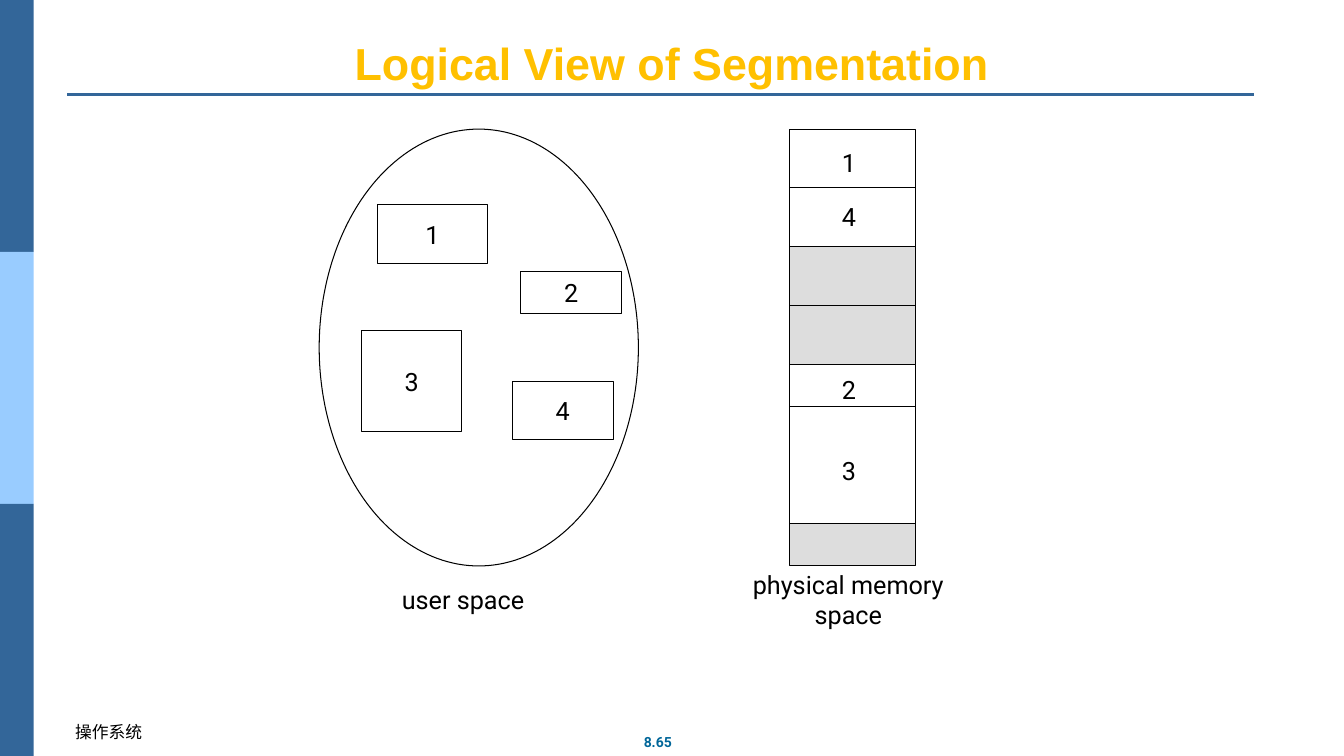
from lxml import etree
from pptx import Presentation
from pptx.dml.color import RGBColor
from pptx.enum.shapes import MSO_CONNECTOR as CONNECTOR, MSO_SHAPE as SHAPE
from pptx.enum.text import MSO_ANCHOR as ANCHOR, MSO_AUTO_SIZE as AUTO, PP_ALIGN as ALIGN
from pptx.oxml.ns import qn
from pptx.util import Emu, Pt

PX = 9525  # EMU per px, 96 px to the inch
COLORS = {
    "dark": "336699", "light": "99CCFF", "number": "006699", "title": "FFC000",
    "black": "000000", "white": "FFFFFF", "free": "DDDDDD",
}


def px(*lengths):
    return [Emu(length * PX) for length in lengths]


def write(shape, lines, size=18, font="Roboto", color="black", bold=False,
          align=ALIGN.CENTER, anchor=ANCHOR.MIDDLE, wrap=False):
    frame = shape.text_frame
    frame.auto_size = AUTO.NONE
    frame.word_wrap = wrap
    frame.vertical_anchor = anchor
    paragraph = frame.paragraphs[0]
    paragraph.alignment = align
    for index, line in enumerate(lines):
        if index:
            paragraph.add_line_break()
        run = paragraph.add_run()
        run.text = line
        run.font.size = Pt(size)
        run.font.name = font
        run.font.bold = bold
        run.font.color.rgb = RGBColor.from_string(COLORS[color])
        east_asian = etree.SubElement(run.font._element, qn("a:ea"))
        east_asian.set("typeface", font)


presentation = Presentation()
presentation.slide_width, presentation.slide_height = px(1280, 720)
slide = presentation.slides.add_slide(presentation.slide_layouts[5])
shapes = slide.shapes

# Title
title = shapes.title
title.left, title.top, title.width, title.height = px(64, 29, 1152, 61)
write(title, ["Logical View of Segmentation"], 32, "Arial", "title", True,
      anchor=ANCHOR.BOTTOM, wrap=True)

# Side bar, user space with its segments, and memory blocks
RECT = SHAPE.RECTANGLE
MEMORY_LEFT, MEMORY_WIDTH = 752, 120
boxes = [
    # preset, left, top, width, height, fill, outlined, label
    (RECT, 0, 0, 32, 240, "dark", False, ""),
    (RECT, 0, 240, 32, 240, "light", False, ""),
    (RECT, 0, 480, 32, 240, "dark", False, ""),
    (SHAPE.OVAL, 304, 123, 304, 416, "white", True, ""),
    (RECT, 360, 195, 104, 56, "white", True, "1"),
    (RECT, 344, 315, 96, 96, "white", True, "3"),
    (RECT, 496, 259, 96, 40, "white", True, "2"),
    (RECT, 488, 363, 96, 56, "white", True, "4"),
]
block_top = 123
for height, fill in [(112, "white"), (112, "free"), (152, "white"), (40, "free")]:
    boxes.append((RECT, MEMORY_LEFT, block_top, MEMORY_WIDTH, height, fill, True, ""))
    block_top += height

drawn = []
for preset, left, top, width, height, fill, outlined, label in boxes:
    shape = shapes.add_shape(preset, *px(left, top, width, height))
    shape.shadow.inherit = False
    shape.fill.solid()
    shape.fill.fore_color.rgb = RGBColor.from_string(COLORS[fill])
    if outlined:
        shape.line.color.rgb = RGBColor.from_string(COLORS["black"])
        shape.line.width = Pt(0.75)
    else:
        shape.line.fill.background()
    if label:
        write(shape, [label])
    drawn.append(shape)
upper_block, free_block = drawn[-4:-2]

# Title rule and memory dividers, joined where they halve a block
MEMORY_RIGHT = MEMORY_LEFT + MEMORY_WIDTH
for left, right, y, color, weight, block in [
    (64, 1194, 90, "dark", 1.5, None),
    (MEMORY_LEFT, MEMORY_RIGHT, 179, "black", 0.75, upper_block),
    (MEMORY_LEFT, MEMORY_RIGHT, 291, "black", 0.75, free_block),
    (MEMORY_LEFT, MEMORY_RIGHT, 387, "black", 0.75, None),
]:
    line = shapes.add_connector(CONNECTOR.STRAIGHT, *px(left, y, right, y))
    line.line.color.rgb = RGBColor.from_string(COLORS[color])
    line.line.width = Pt(weight)
    etree.SubElement(line._element.spPr, qn("a:effectLst"))
    if block:
        line.begin_connect(block, 1)
        line.end_connect(block, 3)

# Memory labels and captions
labels = [(792, center - 19, 33, 38, [number])
          for number, center in [("1", 155), ("4", 206), ("2", 371), ("3", 448)]]
labels += [
    (370, 552, 142, 38, ["user space"]),
    (673, 552, 270, 38, ["physical memory", "space"]),
]
for left, top, width, height, lines in labels:
    write(shapes.add_textbox(*px(left, top, width, height)), lines)

# Footer
number_box = shapes.add_textbox(*px(603, 694, 47, 26))
write(number_box, ["8.65"], 10, color="number", bold=True)
course_box = shapes.add_textbox(*px(62, 682, 334, 29))
write(course_box, ["操作系统"], 12, "Noto Sans CJK SC", align=ALIGN.LEFT, wrap=True)

presentation.save("out.pptx")
